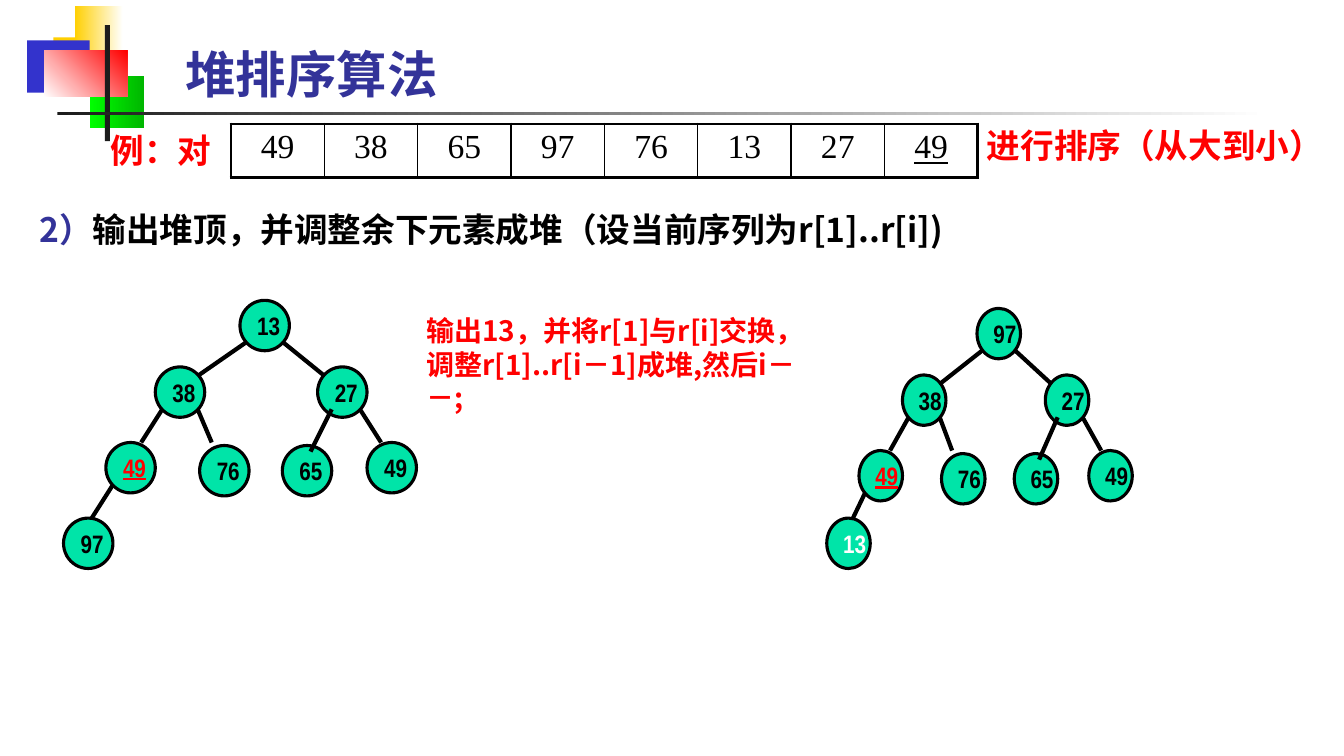
import pptx
import pptx.util
import pptx.dml.color
import pptx.enum.shapes
import pptx.enum.text
import pptx.oxml
import pptx.oxml.ns

Inches, Pt = pptx.util.Inches, pptx.util.Pt
SHAPE = pptx.enum.shapes.MSO_SHAPE
ALIGN = pptx.enum.text.PP_ALIGN
ANCHOR = pptx.enum.text.MSO_ANCHOR

COLORS = {
    "black": "000000", "white": "FFFFFF", "ink": "1C1C1C", "red": "FF0000",
    "navy": "333399", "blue": "3333CC", "yellow": "FFCF01",
    "green": "00FF00", "dark_green": "00B600", "node": "00E4A8",
}
NARROW, SANS, SERIF = "Arial Narrow", "Noto Sans CJK SC", "Times New Roman"

# Heap layout of the left tree: top-left corners of the nodes in heap order
NODES = [(2.38, 2.98), (1.54, 3.64), (3.15, 3.64), (1.05, 4.39),
         (1.98, 4.42), (2.8, 4.42), (3.64, 4.39)]
EDGES = [(2.45, 3.39, 1.96, 3.73), (2.8, 3.39, 3.22, 3.73),
         (1.61, 4.06, 1.4, 4.39), (1.96, 4.06, 2.1, 4.39),
         (3.29, 4.06, 3.08, 4.48), (3.57, 4.06, 3.78, 4.39)]
NODE_W, NODE_H = 0.49, 0.5


def rgb(name):
    return pptx.dml.color.RGBColor.from_string(COLORS[name])


def format_run(r, size, color, font, bold=True, underline=False):
    r.font.size, r.font.name, r.font.bold = Pt(size), font, bold
    r.font.color.rgb = rgb(color)
    if underline:
        r.font.underline = True
    ea = r._r.get_or_add_rPr().makeelement(pptx.oxml.ns.qn("a:ea"), {"typeface": SANS})
    r.font._element.find(pptx.oxml.ns.qn("a:latin")).addnext(ea)


def add_block(s, x, y, w, h, color, end=None, angle=0):
    """Rectangle of the slide decoration, plain or with a gradient."""
    sp = s.shapes.add_shape(SHAPE.RECTANGLE, Inches(x), Inches(y), Inches(w), Inches(h))
    sp.shadow.inherit = False
    sp.line.fill.background()
    if end:
        sp.fill.gradient()
        sp.fill.gradient_angle = angle
        for stop, name in zip(sp.fill.gradient_stops, (color, end)):
            stop.color.rgb = rgb(name)
    else:
        sp.fill.solid()
        sp.fill.fore_color.rgb = rgb(color)


def add_text(s, x, y, w, h, parts, size, font):
    """Text box with one paragraph made of (text, color) parts."""
    sp = s.shapes.add_textbox(Inches(x), Inches(y), Inches(w), Inches(h))
    tf = sp.text_frame
    tf.word_wrap = True
    for text, color in parts:
        r = tf.paragraphs[0].add_run()
        r.text = text
        format_run(r, size, color, font)


def set_title(s, text):
    sp = s.shapes.title
    sp.left, sp.top, sp.width, sp.height = Inches(1.74), Inches(0.37), Inches(4.9), Inches(0.71)
    tf = sp.text_frame
    tf.text = text
    tf.vertical_anchor = ANCHOR.MIDDLE
    p = tf.paragraphs[0]
    p.alignment = ALIGN.LEFT
    format_run(p.runs[0], 36, "navy", NARROW)


def set_border(cell, side, width):
    ln = pptx.oxml.parse_xml(
        f'<a:ln{side} {pptx.oxml.ns.nsdecls("a")} w="{int(Pt(width))}"><a:solidFill>'
        f'<a:srgbClr val="{COLORS["black"]}"/></a:solidFill></a:ln{side}>')
    cell._tc.get_or_add_tcPr().append(ln)


def add_sequence(s, x, y, w, h, values):
    """One-row table of the keys; the last key is underlined."""
    last = len(values) - 1
    table = s.shapes.add_table(1, len(values), Inches(x), Inches(y), Inches(w), Inches(h)).table
    table.first_row = table.horz_banding = False
    for i, value in enumerate(values):
        table.columns[i].width = Inches(w / len(values))
        cell = table.cell(0, i)
        cell.text = str(value)
        p = cell.text_frame.paragraphs[0]
        p.alignment = ALIGN.CENTER
        format_run(p.runs[0], 24, "black", SERIF, bold=False, underline=i == last)
        set_border(cell, "L", 2.25 if i == 0 else 1)
        set_border(cell, "R", 2.25 if i == last else 1)
        set_border(cell, "T", 2.25)
        set_border(cell, "B", 2.25)
        cell.fill.background()


def add_node(group, x, y, w, value, color="black", underline=False):
    sp = group.shapes.add_shape(SHAPE.OVAL, Inches(x), Inches(y), Inches(w), Inches(NODE_H))
    sp.shadow.inherit = False
    sp.fill.solid()
    sp.fill.fore_color.rgb = rgb("node")
    sp.line.color.rgb = rgb("black")
    sp.line.width = Pt(2.25)
    tf = sp.text_frame
    tf.text = str(value)
    tf.word_wrap = False
    tf.vertical_anchor = ANCHOR.MIDDLE
    p = tf.paragraphs[0]
    p.alignment = ALIGN.LEFT
    format_run(p.runs[0], 18, color, NARROW, underline=underline)


def add_edge(group, x1, y1, x2, y2):
    line = group.shapes.add_connector(pptx.enum.shapes.MSO_CONNECTOR.STRAIGHT,
                                      Inches(x1), Inches(y1), Inches(x2), Inches(y2))
    line.line.color.rgb = rgb("black")
    line.line.width = Pt(3)
    line._element.spPr.append(pptx.oxml.parse_xml(f'<a:effectLst {pptx.oxml.ns.nsdecls("a")}/>'))


def add_heap(s, values, root_x, root_y, scale, leaf, leaf_edge, leaf_color="black"):
    """Heap tree moved to its root and scaled sideways; the deepest leaf is placed apart."""
    base_x, base_y = NODES[0]

    def place(x, y):
        return root_x + (x - base_x) * scale, root_y + y - base_y

    group = s.shapes.add_group_shape()
    width = NODE_W * scale
    for i, (value, spot) in enumerate(zip(values, NODES)):
        marked = i == 3
        add_node(group, *place(*spot), width, value, "red" if marked else "black", marked)
    add_node(group, *leaf, width, values[-1], leaf_color)
    for x1, y1, x2, y2 in EDGES:
        add_edge(group, *place(x1, y1), *place(x2, y2))
    add_edge(group, *leaf_edge)


def main():
    prs = pptx.Presentation()
    prs.slide_width, prs.slide_height = Inches(13.33), Inches(7.5)
    s = prs.slides.add_slide(prs.slide_layouts[5])

    # Decoration
    add_block(s, 0.53, 0.37, 0.64, 0.52, "yellow")
    add_block(s, 0.74, 0.06, 0.48, 0.52, "yellow", "white")
    add_block(s, 0.27, 0.4, 0.62, 0.52, "blue")
    add_block(s, 0.89, 0.75, 0.54, 0.52, "green", "dark_green")
    add_block(s, 0.44, 0.5, 0.82, 0.46, "white", "red", 45)
    add_block(s, 1.04, 0.25, 0.05, 1.15, "ink")
    add_block(s, 0.57, 1.11, 12, 0.03, "ink", "white")

    # Title and the sequence to sort
    set_title(s, "堆排序算法")
    add_sequence(s, 2.29, 1.23, 7.41, 0.53, [49, 38, 65, 97, 76, 13, 27, 49])
    add_text(s, 1, 1.24, 1.69, 0.5, [("例：对", "red")], 24, NARROW)
    add_text(s, 9.69, 1.19, 3.64, 0.5, [("进行排序（从大到小）", "red")], 24, NARROW)

    # Step and its explanation
    add_text(s, 0.29, 2.02, 9.58, 0.5,
             [("2）", "navy"), ("输出堆顶，并调整余下元素成堆（设当前序列为r[1]..r[i])", "black")],
             24, SANS)
    add_text(s, 4.13, 3.06, 4.04, 1.11,
             [("输出13，并将r[1]与r[i]交换，调整r[1]..r[i－1]成堆,然后i－－;", "red")], 20, SANS)

    # Heap before and after the swap
    add_heap(s, [13, 38, 27, 49, 76, 65, 49, 97], 2.38, 2.98, 1,
             (0.63, 5.14), (1.12, 4.81, 0.91, 5.14))
    add_heap(s, [97, 38, 27, 49, 76, 65, 49, 13], 9.69, 3.06, 0.88,
             (8.2, 5.14), (8.58, 4.89, 8.46, 5.14), "white")

    prs.save("out.pptx")


main()
